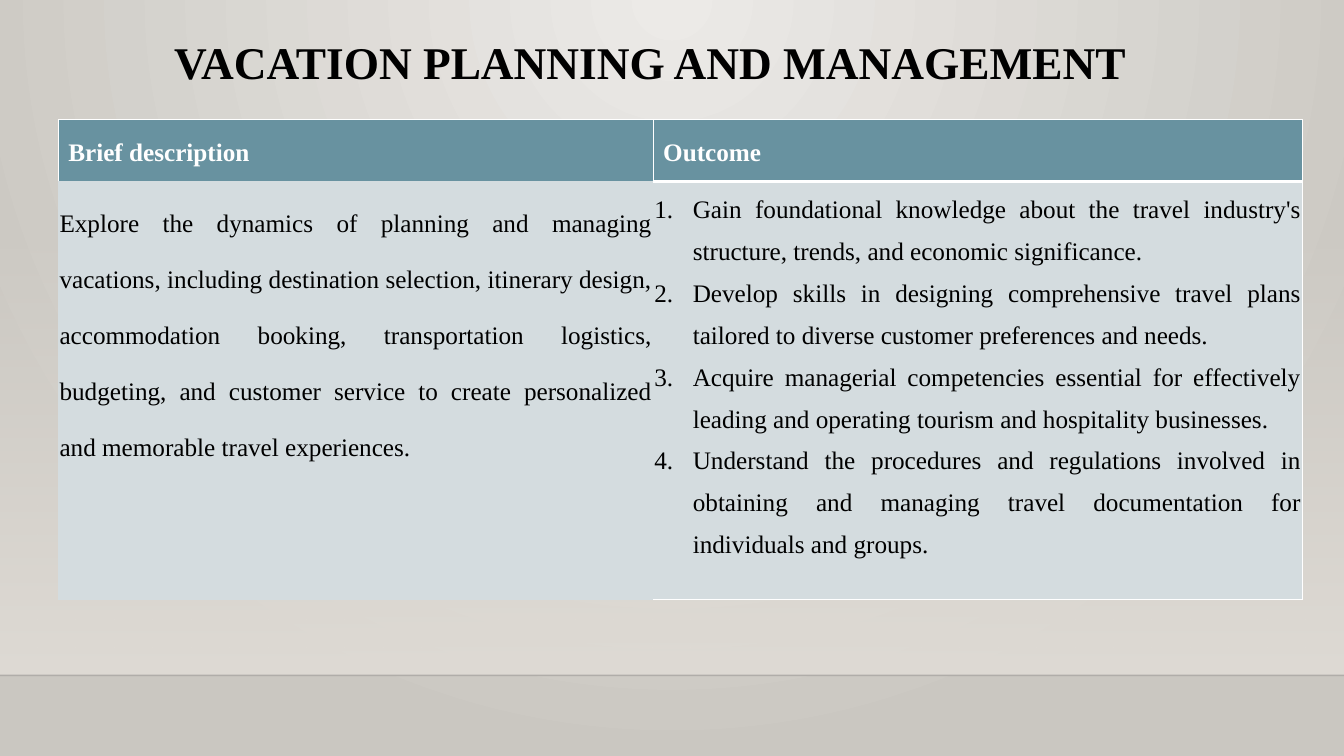
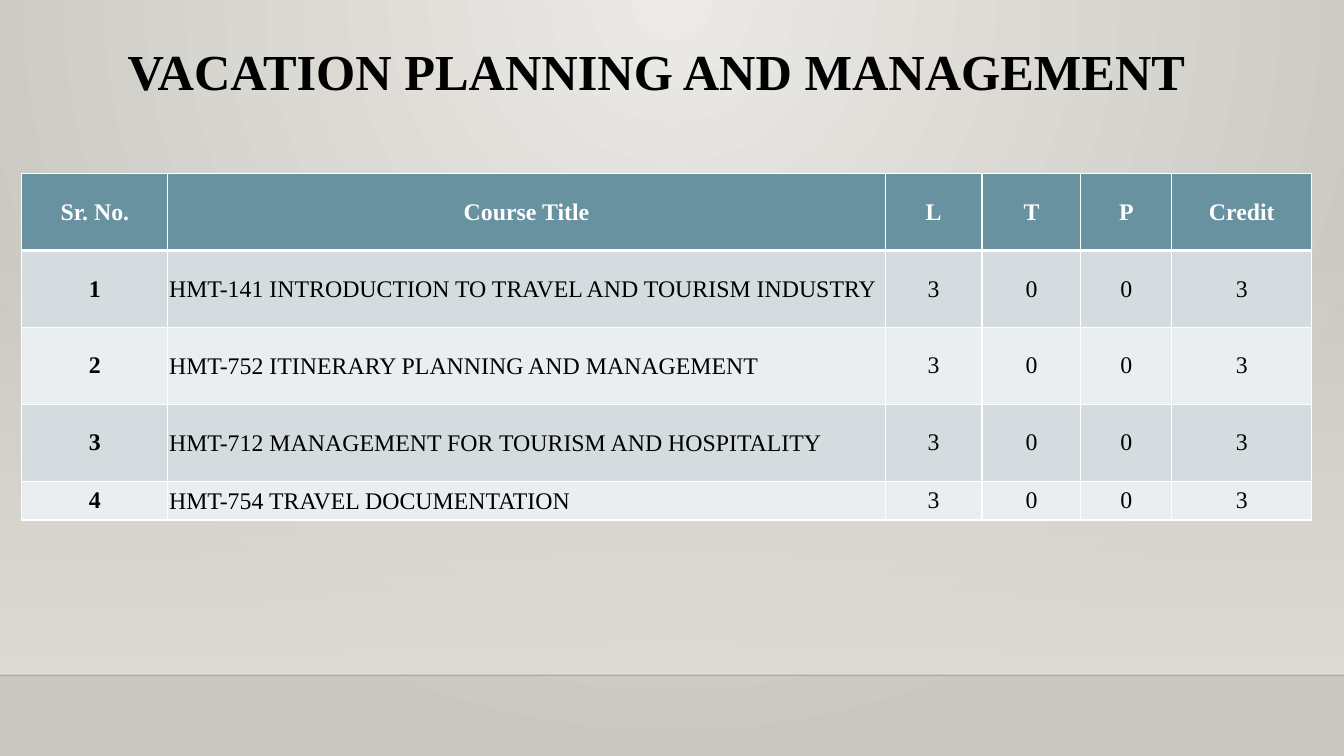
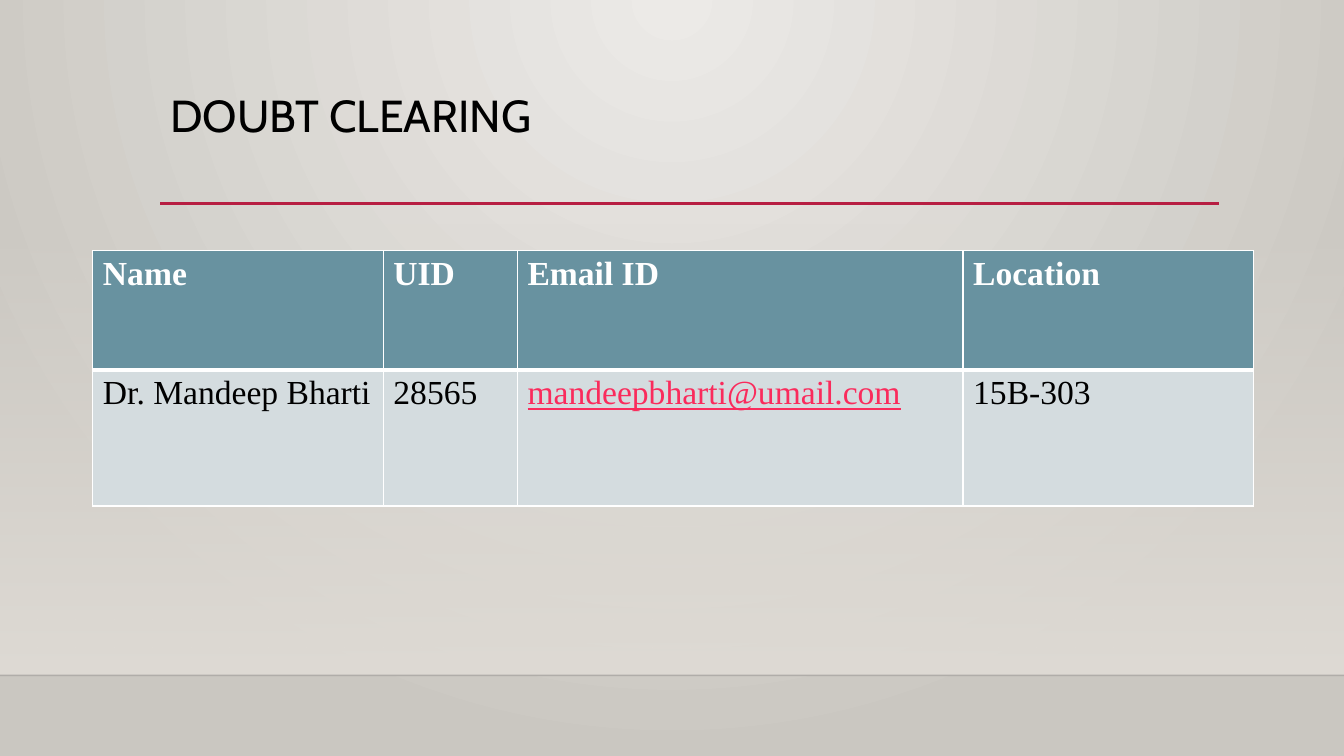
"""Build three slides on a vacation planning course."""
from pptx import Presentation
from pptx import util as u
from pptx.dml.color import RGBColor
from pptx.enum import shapes, text
from pptx.oxml import parse_xml
from pptx.oxml.ns import nsdecls, qn
from pptx.oxml.xmlchemy import OxmlElement

WIDTH, HEIGHT = 33.87, 19.05
FLOOR = 17.02
SERIF, SANS = "Times New Roman", "Cabin"
COLORS = {
    "glow": "ECEAE7", "edge": "CAC7C1", "wall": "DFDBD5", "floor": "000001",
    "accent": "B71E42", "link": "FA2B5C", "text": "000000", "white": "FFFFFF",
    "header": "6892A0", "odd": "D4DCDF", "even": "EBEEF0",
}
LEFT, CENTER, JUSTIFY = (text.PP_ALIGN.LEFT, text.PP_ALIGN.CENTER,
                         text.PP_ALIGN.JUSTIFY)
TOP, MIDDLE = text.MSO_ANCHOR.TOP, text.MSO_ANCHOR.MIDDLE


def rgb(name):
    return RGBColor.from_string(COLORS[name])


def gradient(stops, direction):
    marks = "".join(
        f'<a:gs pos="{position}"><a:srgbClr val="{COLORS[name]}">'
        f'<a:alpha val="{alpha}"/></a:srgbClr></a:gs>'
        for position, name, alpha in stops)
    return parse_xml(f'<a:gradFill {nsdecls("a")} rotWithShape="1">'
                     f'<a:gsLst>{marks}</a:gsLst>{direction}</a:gradFill>')


def set_gradient(holder, fill, stops, direction):
    fill.solid()
    solid = next(holder.iter(qn("a:solidFill")))
    solid.getparent().replace(solid, gradient(stops, direction))


class Deck:
    def __init__(self):
        self.presentation = Presentation()
        self.presentation.slide_width = u.Cm(WIDTH)
        self.presentation.slide_height = u.Cm(HEIGHT)
        master = self.presentation.slide_master
        set_gradient(
            master.element, master.background.fill,
            [(0, "glow", 100000), (100000, "edge", 100000)],
            '<a:path path="circle"><a:fillToRect l="43000" t="0" '
            'r="43000" b="100000"/></a:path>')
        self.slide = None

    def add_slide(self):
        layout = self.presentation.slide_layouts[6]
        self.slide = self.presentation.slides.add_slide(layout)
        wall = self.slide.shapes.add_shape(
            shapes.MSO_SHAPE.RECTANGLE, 0, u.Cm(5.62), u.Cm(WIDTH),
            u.Cm(FLOOR - 5.62))
        wall.shadow.inherit = False
        wall.line.fill.background()
        set_gradient(wall.element.spPr, wall.fill,
                     [(0, "wall", 0), (100000, "wall", 100000)],
                     '<a:lin ang="5400000" scaled="0"/>')
        self.rule(0, WIDTH, FLOOR, "floor", 1, 20000)

    def rule(self, start, end, top, color, width, alpha=100000):
        line = self.slide.shapes.add_connector(
            shapes.MSO_CONNECTOR.STRAIGHT, u.Cm(start), u.Cm(top),
            u.Cm(end), u.Cm(top))
        line.line.width = u.Pt(width)
        line.line.color.rgb = rgb(color)
        opacity = OxmlElement("a:alpha")
        opacity.set("val", str(alpha))
        next(line.element.spPr.iter(qn("a:srgbClr"))).append(opacity)
        line.element.spPr.append(OxmlElement("a:effectLst"))

    def title(self, wording, box, size, font=SERIF, bold=True):
        frame = self.slide.shapes.add_textbox(*map(u.Cm, box)).text_frame
        frame.word_wrap = True
        self.put_text(frame.paragraphs[0], wording, size, bold=bold,
                      font=font, spacing=0.9)

    def put_text(self, paragraph, wording, size, color="text", bold=False,
                 font=SERIF, align=LEFT, spacing=1.0, underline=False):
        paragraph.alignment = align
        paragraph.line_spacing = spacing
        run = paragraph.add_run()
        run.text = wording
        run.font.name = font
        run.font.size = u.Pt(size)
        run.font.bold = bold
        run.font.underline = underline
        run.font.color.rgb = rgb(color)

    def table(self, left, top, columns, rows, bare=None):
        table = self.slide.shapes.add_table(
            len(rows), len(columns), u.Cm(left), u.Cm(top),
            u.Cm(sum(columns)), u.Cm(sum(rows))).table
        for column, width in zip(table.columns, columns):
            column.width = u.Cm(width)
        for row, height in zip(table.rows, rows):
            row.height = u.Cm(height)
        for r in range(len(rows)):
            for c in range(len(columns)):
                cell = table.cell(r, c)
                cell.fill.solid()
                cell.fill.fore_color.rgb = rgb(
                    "header" if r == 0 else "odd" if r % 2 else "even")
                self.borders(cell, r, c, bare)
        return table

    def borders(self, cell, r, c, bare):
        sides = [("L", (r, c - 1), 1), ("R", (r, c + 1), 1),
                 ("T", (r - 1, c), 3 if r == 1 else 1),
                 ("B", (r + 1, c), 3 if r == 0 else 1)]
        properties = cell._tc.get_or_add_tcPr()
        for index, (side, neighbour, width) in enumerate(sides):
            if bare in ((r, c), neighbour):
                paint = "<a:noFill/>"
            else:
                paint = (f'<a:solidFill><a:srgbClr val="{COLORS["white"]}"/>'
                         '</a:solidFill>')
            properties.insert(index, parse_xml(
                f'<a:ln{side} {nsdecls("a")} w="{u.Pt(width)}">'
                f'{paint}</a:ln{side}>'))

    def cell(self, cell, wording, size, anchor=TOP, tight=False, **style):
        cell.vertical_anchor = anchor
        if tight:
            cell.margin_left = cell.margin_right = u.Cm(0.03)
            cell.margin_top, cell.margin_bottom = u.Cm(0.03), 0
        self.put_text(cell.text_frame.paragraphs[0], wording, size, **style)

    def header(self, table, labels, size, **style):
        for c, label in enumerate(labels):
            self.cell(table.cell(0, c), label, size, color="white",
                      bold=True, **style)

    def number(self, paragraph):
        properties = paragraph._p.get_or_add_pPr()
        properties.set("marL", str(u.Cm(0.97)))
        properties.set("indent", str(-u.Cm(0.97)))
        bullet = OxmlElement("a:buAutoNum")
        bullet.set("type", "arabicPeriod")
        properties.append(bullet)


COURSE = "VACATION PLANNING AND MANAGEMENT"
DESCRIPTION = (
    "Explore the dynamics of planning and managing vacations, including "
    "destination selection, itinerary design, accommodation booking, "
    "transportation logistics, budgeting, and customer service to create "
    "personalized and memorable travel experiences.")
OUTCOMES = [
    "Gain foundational knowledge about the travel industry's structure, "
    "trends, and economic significance.",
    "Develop skills in designing comprehensive travel plans tailored to "
    "diverse customer preferences and needs.",
    "Acquire managerial competencies essential for effectively leading and "
    "operating tourism and hospitality businesses.",
    "Understand the procedures and regulations involved in obtaining and "
    "managing travel documentation for individuals and groups.",
]
COURSES = [
    "HMT-141 INTRODUCTION TO TRAVEL AND TOURISM INDUSTRY",
    "HMT-752 ITINERARY PLANNING AND MANAGEMENT",
    "HMT-712 MANAGEMENT FOR TOURISM AND HOSPITALITY",
    "HMT-754 TRAVEL DOCUMENTATION",
]


def overview(deck):
    deck.add_slide()
    deck.title(COURSE, (4.14, 0.89, 26.67, 2.92), 32.4)
    table = deck.table(1.47, 3.02, [14.99, 16.36], [1.55, 10.54], bare=(1, 0))
    deck.header(table, ["Brief description", "Outcome"], 18, spacing=1.5)
    deck.cell(table.cell(1, 0), DESCRIPTION, 18, tight=True, align=JUSTIFY,
              spacing=2.0)
    outcome = table.cell(1, 1)
    for index, wording in enumerate(OUTCOMES):
        if index == 0:
            deck.number(outcome.text_frame.paragraphs[0])
            deck.cell(outcome, wording, 18, tight=True, align=JUSTIFY,
                      spacing=1.5)
        else:
            paragraph = outcome.text_frame.add_paragraph()
            deck.number(paragraph)
            deck.put_text(paragraph, wording, 18, align=JUSTIFY, spacing=1.5)


def courses(deck):
    deck.add_slide()
    deck.title(COURSE, (2.97, 1.07, 27.94, 2.08), 36)
    table = deck.table(0.55, 4.37, [3.68, 18.08, 2.44, 2.49, 2.29, 3.53],
                       [1.94] * 4 + [0.92])
    deck.header(table, ["Sr. No.", "Course Title", "L", "T", "P", "Credit"],
                17, anchor=MIDDLE, align=CENTER)
    for r, course in enumerate(COURSES, 1):
        for c, value in enumerate([str(r), course, "3", "0", "0", "3"]):
            deck.cell(table.cell(r, c), value, 17, anchor=MIDDLE,
                      tight=c == 1, bold=c == 0,
                      align=LEFT if c == 1 else CENTER)


def contact(deck):
    deck.add_slide()
    deck.rule(4.04, 30.73, 5.13, "accent", 2.5)
    deck.title("DOUBT CLEARING", (4.04, 2.24, 26.67, 2.92), 32, SANS, False)
    table = deck.table(2.34, 6.32, [7.32, 3.38, 11.23, 7.32], [3, 3.43])
    deck.header(table, ["Name", "UID", "Email ID", "Location"], 24)
    details = ["Dr. Mandeep Bharti", "28565", "mandeepbharti@umail.com",
               "15B-303"]
    for c, value in enumerate(details):
        is_email = "@" in value
        deck.cell(table.cell(1, c), value, 24, underline=is_email,
                  color="link" if is_email else "text")


def main():
    deck = Deck()
    overview(deck)
    courses(deck)
    contact(deck)
    deck.presentation.save("out.pptx")


if __name__ == "__main__":
    main()
